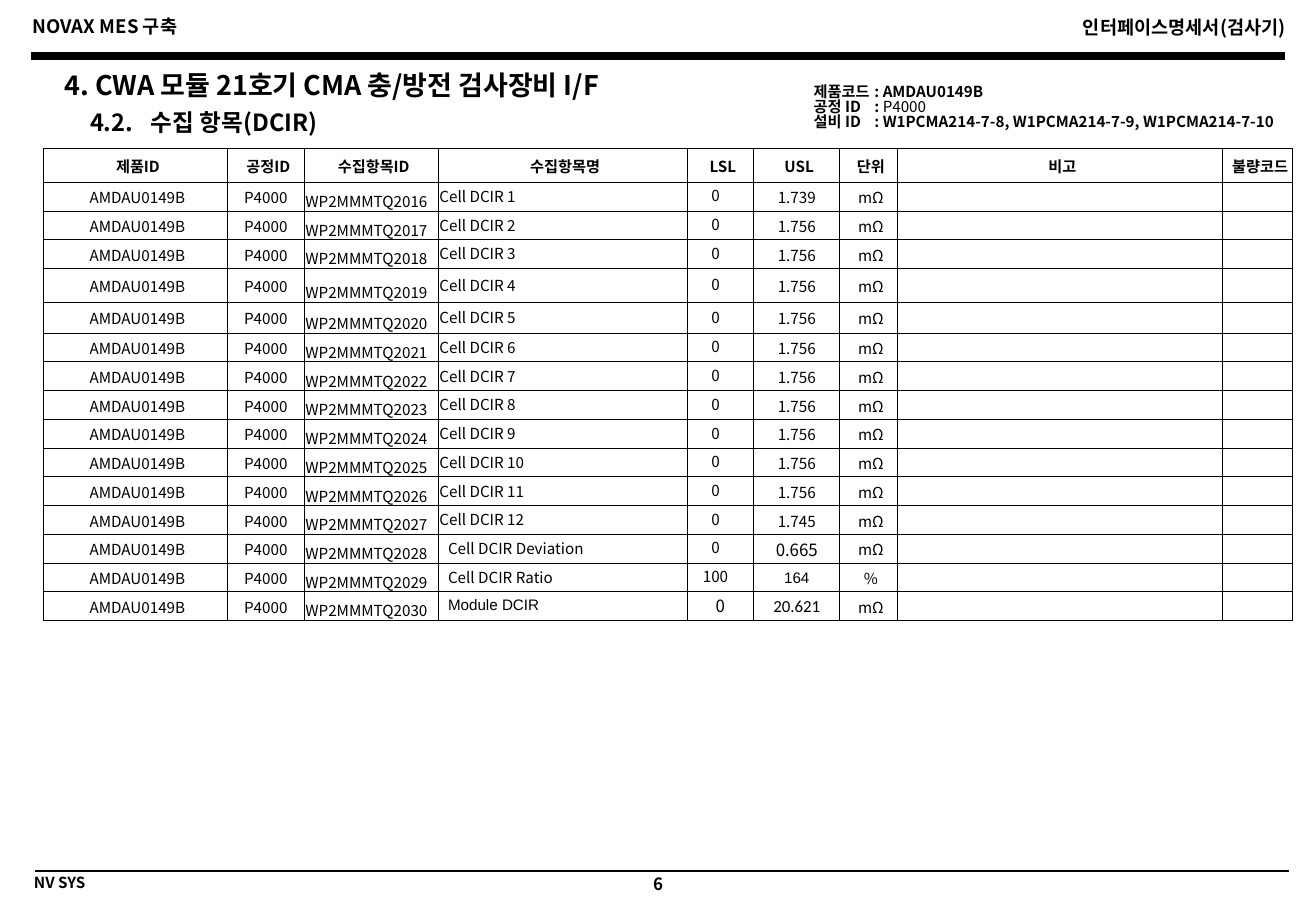
from lxml.etree import SubElement
from pptx import Presentation
from pptx.dml.color import RGBColor as RGB
from pptx.enum.shapes import MSO_CONNECTOR as CONN
from pptx.enum.text import MSO_ANCHOR as ANCHOR, PP_ALIGN as ALIGN
from pptx.oxml.ns import qn
from pptx.util import Pt

COLORS = {"ink": "000000", "paper": "FFFFFF"}
FONT = "Noto Sans CJK KR"
LEFT, CENTER, RIGHT = ALIGN.LEFT, ALIGN.CENTER, ALIGN.RIGHT


def set_attrs(obj, values):
    for name, value in values.items():
        setattr(obj, name, value)


def set_insets(obj, insets):
    sides = ("margin_left", "margin_top", "margin_right", "margin_bottom")
    set_attrs(obj, {side: Pt(v) for side, v in zip(sides, insets)})


def add_run(p, text, size, bold=False, font=FONT):
    r = p.add_run()
    r.text = text
    set_attrs(r.font, {"size": Pt(size), "bold": bold, "name": font})
    r.font.color.rgb = RGB.from_string(COLORS["ink"])
    SubElement(r._r.get_or_add_rPr(), qn("a:ea"), typeface=font)


def format_par(p, align=LEFT, spacing=1.0, hang=0):
    set_attrs(p, {"alignment": align, "line_spacing": spacing,
                  "space_before": Pt(0), "space_after": Pt(0)})
    if hang:
        pPr = p._p.get_or_add_pPr()
        pPr.set("marL", str(Pt(hang)))
        pPr.set("indent", str(-Pt(hang)))


def fill_line(sp, text, size, align=LEFT, hang=0):
    """Put one bold line of text in a text box or placeholder."""
    tf = sp.text_frame
    set_attrs(tf, {"word_wrap": True, "vertical_anchor": ANCHOR.TOP})
    set_insets(tf, (7.2, 1.8, 7.2, 1.8))
    p = tf.paragraphs[0]
    format_par(p, align, 0.8, hang)
    add_run(p, text, size, True)


def add_box(slide, x, y, w, h):
    return slide.shapes.add_textbox(Pt(x), Pt(y), Pt(w), Pt(h))


def add_rule(slide, x, y, w, weight):
    ln = slide.shapes.add_connector(CONN.STRAIGHT, Pt(x), Pt(y), Pt(x + w), Pt(y))
    ln.line.width = Pt(weight)
    ln.line.color.rgb = RGB.from_string(COLORS["ink"])
    SubElement(ln._element.spPr, qn("a:effectLst"))


# Running header: project, document and thick rule
def add_header(slide, x, y, w, h):
    half = w / 2
    fill_line(add_box(slide, x, y, half, 18), "NOVAX MES 구축", 11)
    fill_line(add_box(slide, x + half, y + 0.7, half, 18),
              "인터페이스명세서(검사기)", 11, RIGHT)
    add_rule(slide, x + 5.8, y + h, w - 13, 4.5)


# Footer: thin rule, company and page number
def add_footer(slide, x, y, w, h):
    add_rule(slide, x + 7.7, y, w - 13, 1)
    fill_line(add_box(slide, x, y + 1.5, 300, h), "NV SYS", 9)
    fill_line(add_box(slide, x + 343.5, y + 2.2, 67, h), "6", 10, CENTER)


# Section title and subtitle
def add_titles(slide, x, y, w, h):
    title = slide.shapes.title
    set_attrs(title, {"left": Pt(x), "top": Pt(y), "width": Pt(w), "height": Pt(h / 2)})
    fill_line(title, "4. CWA 모듈 21호기 CMA 충/방전 검사장비 I/F", 16)
    sub = add_box(slide, x + 15.3, y + 23, w - 15.3, h / 2)
    fill_line(sub, "4.2.\t수집 항목(DCIR)", 14, hang=36)


# Product, process and equipment codes
def add_codes(slide, x, y, w, h):
    tf = add_box(slide, x, y, w, h).text_frame
    tf.word_wrap = True
    set_insets(tf, (7.2, 3.6, 7.2, 3.6))
    codes = [("제품코드", "AMDAU0149B", True), ("공정 ID", "P4000", False),
             ("설비 ID", "W1PCMA214-7-8, W1PCMA214-7-9, W1PCMA214-7-10", True)]
    for i, (label, value, bold) in enumerate(codes):
        p = tf.add_paragraph() if i else tf.paragraphs[0]
        format_par(p, spacing=0.84, hang=36)
        add_run(p, f"{label}\t: ", 9, True)
        add_run(p, value, 9, bold)


HEADS = ["제품ID", "공정ID", "수집항목ID", "수집항목명", "LSL", "USL", "단위", "비고", "불량코드"]
COL_W = [109, 45.5, 79.5, 147.5, 39.5, 51, 34, 193, 41.5]
ROW_H = {0: 20.2, 4: 20.2, 5: 18.2}
OTHER_H = 17.05

TIGHT, HEAD_INS = (0.7, 0.7, 0.7, 0), (2.9, 0.7, 0, 0)
COL_INS = {0: (2.9, 0.7, 0.7, 0), 4: (0, 0, 5.8, 0), 6: HEAD_INS}
NAME_INDENT = (5.8, 0.7, 0, 0)
CELL_INS = {(13, 3): NAME_INDENT, (14, 3): NAME_INDENT, (15, 3): NAME_INDENT,
            (15, 4): (0, 0, 0, 0)}
CELL_FONT = {(13, 5): {"size": 10}, (14, 5): {"font": "Arial"},
             (15, 3): {"font": "Arial"}, (15, 4): {"size": 10},
             (15, 5): {"size": 10, "font": "Calibri"}}


def item_rows():
    limits = ["1.739"] + ["1.756"] * 10 + ["1.745"]
    items = [(f"Cell DCIR {n}", "0", usl, "mΩ") for n, usl in enumerate(limits, 1)]
    items += [("Cell DCIR Deviation", "0", "0.665", "mΩ"),
              ("Cell DCIR Ratio", "100", "164", "%"),
              ("Module DCIR", "0", "20.621", "mΩ")]
    return [["AMDAU0149B", "P4000", f"WP2MMMTQ{2016 + i}", *item, "", ""]
            for i, item in enumerate(items)]


def format_cell(cell, text, row, col):
    head = row == 0
    tcPr = cell._tc.get_or_add_tcPr()
    for side in ("lnL", "lnR", "lnT", "lnB"):
        ln = SubElement(tcPr, qn(f"a:{side}"), w=str(Pt(0.5)))
        SubElement(SubElement(ln, qn("a:solidFill")), qn("a:srgbClr"), val=COLORS["ink"])
    cell.fill.solid()
    cell.fill.fore_color.rgb = RGB.from_string(COLORS["paper"])
    cell.vertical_anchor = ANCHOR.BOTTOM if col == 2 and not head else ANCHOR.MIDDLE
    set_insets(cell, HEAD_INS if head else CELL_INS.get((row, col), COL_INS.get(col, TIGHT)))
    p = cell.text_frame.paragraphs[0]
    format_par(p, LEFT if col in (2, 3) and not head else CENTER,
               0.8 if col in (2, 3, 4) and not head else 1.0)
    if text:
        add_run(p, text, **{"size": 9, "bold": head, **CELL_FONT.get((row, col), {})})
    else:
        SubElement(p._p, qn("a:endParaRPr"), sz="900")


# Table of collected items
def add_items(slide, x, y, w, h):
    rows = [HEADS] + item_rows()
    frame = slide.shapes.add_table(len(rows), len(HEADS), Pt(x), Pt(y), Pt(w), Pt(h))
    table = frame.table
    set_attrs(table, {"first_row": False, "horz_banding": False})
    for col, width in zip(table.columns, COL_W):
        col.width = Pt(width)
    for i, values in enumerate(rows):
        table.rows[i].height = Pt(ROW_H.get(i, OTHER_H))
        for j, text in enumerate(values):
            format_cell(table.cell(i, j), text, i, j)


prs = Presentation()
set_attrs(prs, {"slide_width": Pt(780), "slide_height": Pt(540)})
slide = prs.slides.add_slide(prs.slide_layouts[5])
add_header(slide, 12.4, 9.4, 756.6, 23.8)
add_footer(slide, 13, 516.2, 756.6, 17)
add_items(slide, 25.8, 87.8, sum(COL_W), 280)
add_titles(slide, 31, 42.5, 400, 46)
add_codes(slide, 475.2, 46.8, 302, 37)
prs.save("out.pptx")
